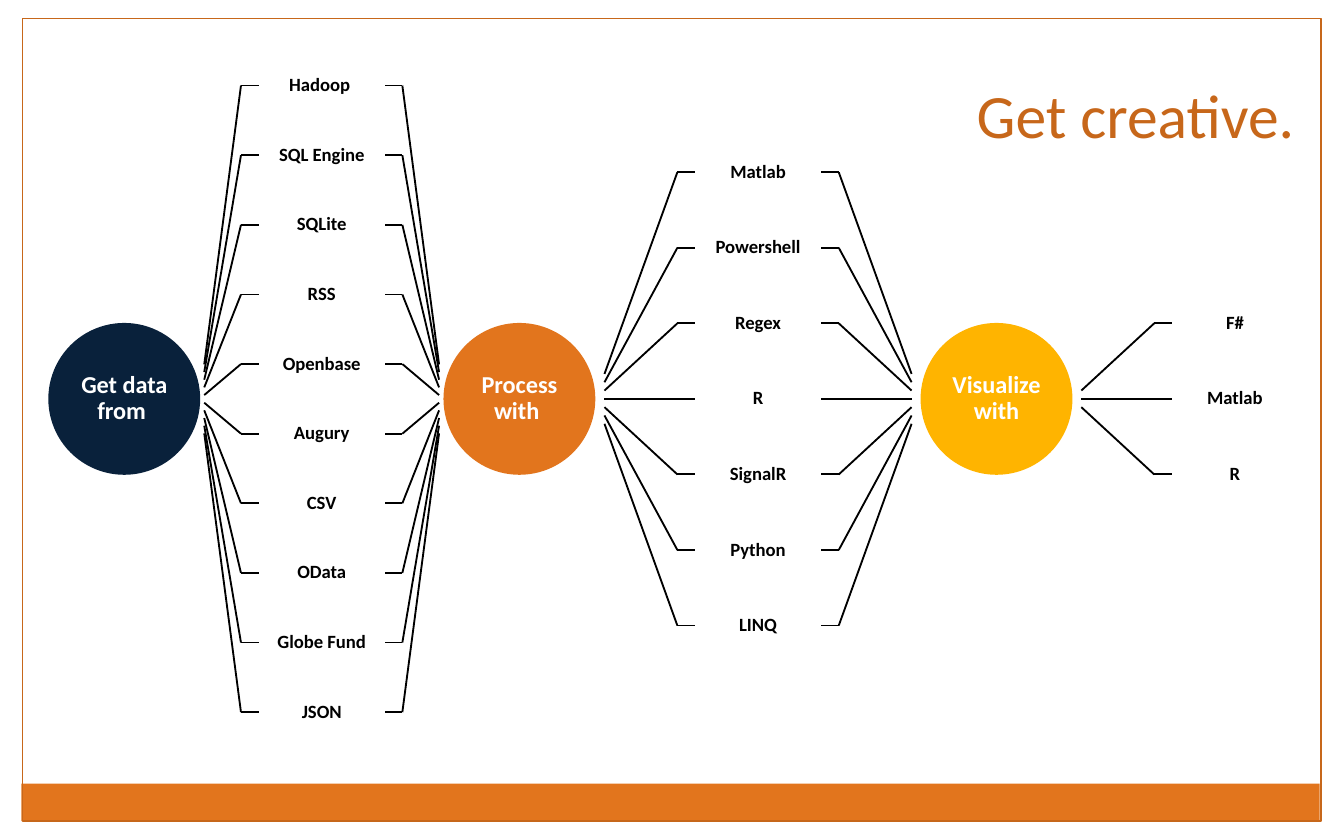
"""Build a slide of data sources, processing tools and visualizers fanning out from three hubs."""
from dataclasses import dataclass

from lxml import etree
from pptx import Presentation
from pptx.dml.color import RGBColor
from pptx.enum.shapes import MSO_CONNECTOR, MSO_SHAPE
from pptx.enum.text import MSO_ANCHOR, PP_ALIGN
from pptx.oxml.ns import qn
from pptx.util import Inches, Pt

RECT, OVAL, STRAIGHT = MSO_SHAPE.RECTANGLE, MSO_SHAPE.OVAL, MSO_CONNECTOR.STRAIGHT
MIDDLE, BOTTOM = MSO_ANCHOR.MIDDLE, MSO_ANCHOR.BOTTOM
CENTER, RIGHT = PP_ALIGN.CENTER, PP_ALIGN.RIGHT

WIDTH, HEIGHT = 10, 6.25
COLS = 100
CELL = WIDTH / COLS
AXIS = 29.68
HUB, HUB_TEXT = 11.3, 8
LABEL, STUB = 9.37, 1.32
SQUEEZE = 0.11
FONT = "Calibri"
ORANGE, RUST, WHITE, BLACK = "E2751D", "C7671A", "FFFFFF", "000000"


@dataclass(frozen=True)
class Stage:
    """A hub with the labels that fan out to its right, measured in grid cells."""
    title: str
    fill: str
    hub_left: float
    label_left: float
    reach: float
    pitch: float
    labels: tuple[str, ...]
    closes: bool = True


STAGES = (
    Stage("Get data from ", "09213B", 3.6, 19.25, 2.73, 5.18,
          ("Hadoop ", "SQL Engine", "SQLite", "RSS", "Openbase",
           "Augury", "CSV", "OData", "Globe Fund", "JSON")),
    Stage("Process with ", ORANGE, 33, 51.72, 5.42, 5.62,
          ("Matlab", "Powershell", "Regex", "R", "SignalR", "Python", "LINQ")),
    Stage("Visualize with", "FFB400", 68.5, 87.2, 5.42, 5.62,
          ("F#", "Matlab", "R"), closes=False),
)


def cells(*values: float) -> list[int]:
    """Turn grid cells into slide lengths."""
    return [Inches(v * CELL) for v in values]


def color(value: str) -> RGBColor:
    """Turn a hex string into a colour."""
    return RGBColor.from_string(value)


def add_shape(s, kind, box: tuple, fill: str = "", line: str = "") -> None:
    """Draw a preset shape with an optional fill and outline."""
    sp = s.shapes.add_shape(kind, *cells(*box))
    sp.shadow.inherit = False
    if fill:
        sp.fill.solid()
        sp.fill.fore_color.rgb = color(fill)
    else:
        sp.fill.background()
    if line:
        sp.line.color.rgb = color(line)
        sp.line.width = Pt(0.75)
    else:
        sp.line.fill.background()


def add_text(s, text: str, box: tuple, size: float, ink: str, inset: tuple = (0, 0),
             bold: bool = True, align=CENTER, anchor=MIDDLE, spacing: float = 0.9) -> None:
    """Write one paragraph in a text box."""
    tf = s.shapes.add_textbox(*cells(*box)).text_frame
    tf.word_wrap = True
    tf.vertical_anchor = anchor
    tf.margin_left = tf.margin_right = Inches(inset[0])
    tf.margin_top = tf.margin_bottom = Inches(inset[1])
    p = tf.paragraphs[0]
    p.text = text
    p.alignment = align
    p.line_spacing = spacing
    font = p.runs[0].font
    font.name, font.size, font.bold = FONT, Pt(size), bold
    font.color.rgb = color(ink)


def add_line(s, x1: float, y1: float, x2: float, y2: float) -> None:
    """Draw a thin black straight line."""
    c = s.shapes.add_connector(STRAIGHT, *cells(x1, y1, x2, y2))
    c.line.color.rgb = color(BLACK)
    c.line.width = Pt(1)
    etree.SubElement(c._element.spPr, qn("a:effectLst"))


def add_branch(s, edge: float, side: int, stage: Stage, near: float, y: float) -> None:
    """Draw the slanted line and the stub on one side of a label."""
    knee = edge + side * STUB
    add_line(s, knee + side * stage.reach, near, knee, y)
    add_line(s, knee, y, edge, y)


def add_stage(s, stage: Stage) -> None:
    """Draw a hub and its fan of labels."""
    add_shape(s, OVAL, (stage.hub_left, AXIS - HUB / 2, HUB, HUB), stage.fill)
    pad = (HUB - HUB_TEXT) / 2
    add_text(s, stage.title, (stage.hub_left + pad, AXIS - HUB_TEXT / 2, HUB_TEXT, HUB_TEXT),
             13, WHITE)
    middle = (len(stage.labels) - 1) / 2
    for row, label in enumerate(stage.labels):
        offset = (row - middle) * stage.pitch
        y, near = AXIS + offset, AXIS + offset * SQUEEZE
        add_branch(s, stage.label_left, -1, stage, near, y)
        add_text(s, label, (stage.label_left, y - stage.pitch / 2, LABEL, stage.pitch),
                 10, BLACK, (0.08, 0.08))
        if stage.closes:
            add_branch(s, stage.label_left + LABEL, 1, stage, near, y)


def main() -> None:
    """Build and save the slide."""
    prs = Presentation()
    prs.slide_width, prs.slide_height = Inches(WIDTH), Inches(HEIGHT)
    s = prs.slides.add_slide(prs.slide_layouts[6])
    add_shape(s, RECT, (1.6, 58.3, 96.6, 2.8), ORANGE)
    add_shape(s, RECT, (1.7, 1.4, 96.6, 59.7), line=RUST)
    for stage in STAGES:
        add_stage(s, stage)
    add_text(s, "Get creative.", (2.5, 4.8, 94.8, 6.9), 33, RUST, (0.1, 0.05),
             bold=False, align=RIGHT, anchor=BOTTOM, spacing=1.0)
    prs.save("out.pptx")


if __name__ == "__main__":
    main()
